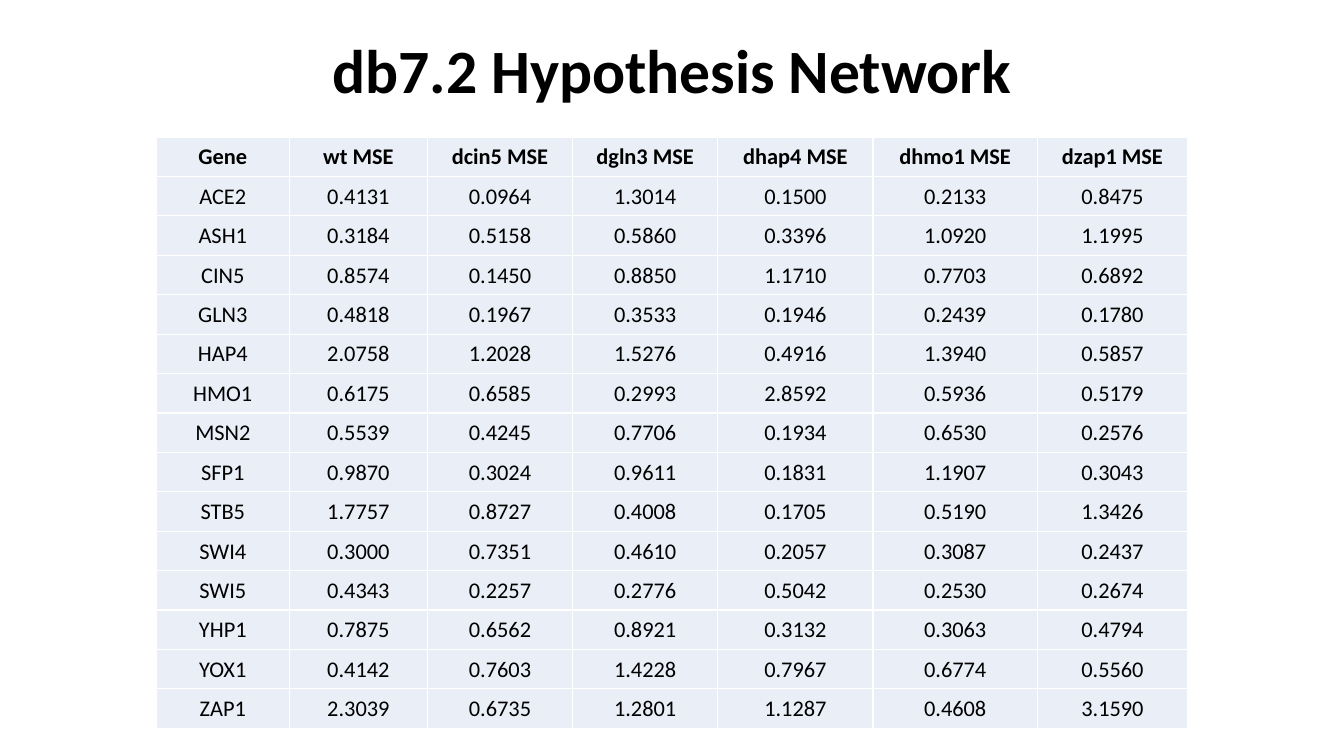
from lxml import etree
from pptx import Presentation
from pptx.dml.color import RGBColor
from pptx.enum.text import MSO_ANCHOR, PP_ALIGN
from pptx.oxml.ns import qn
from pptx.util import Inches, Pt

MIDDLE = MSO_ANCHOR.MIDDLE
CENTER = PP_ALIGN.CENTER

SLIDE_W, SLIDE_H = 13.33, 7.5
FONT = "Calibri"
COLORS = {"text": "000000", "cell": "EAEFF7", "border": "FFFFFF"}
BORDER_PT = 1

TABLE_LEFT, TABLE_TOP, TABLE_H = 1.55, 1.36, 5.87
COL_WIDTHS = [1.32, 1.37, 1.44, 1.44, 1.54, 1.63, 1.49]
CELL_FORMAT = {
    "margin_left": Inches(0.01),
    "margin_right": Inches(0.01),
    "margin_top": Inches(0.01),
    "margin_bottom": 0,
    "vertical_anchor": MIDDLE,
}

STRAINS = ["wt", "dcin5", "dgln3", "dhap4", "dhmo1", "dzap1"]
GENE_MSE = """
ACE2 0.4131 0.0964 1.3014 0.1500 0.2133 0.8475
ASH1 0.3184 0.5158 0.5860 0.3396 1.0920 1.1995
CIN5 0.8574 0.1450 0.8850 1.1710 0.7703 0.6892
GLN3 0.4818 0.1967 0.3533 0.1946 0.2439 0.1780
HAP4 2.0758 1.2028 1.5276 0.4916 1.3940 0.5857
HMO1 0.6175 0.6585 0.2993 2.8592 0.5936 0.5179
MSN2 0.5539 0.4245 0.7706 0.1934 0.6530 0.2576
SFP1 0.9870 0.3024 0.9611 0.1831 1.1907 0.3043
STB5 1.7757 0.8727 0.4008 0.1705 0.5190 1.3426
SWI4 0.3000 0.7351 0.4610 0.2057 0.3087 0.2437
SWI5 0.4343 0.2257 0.2776 0.5042 0.2530 0.2674
YHP1 0.7875 0.6562 0.8921 0.3132 0.3063 0.4794
YOX1 0.4142 0.7603 1.4228 0.7967 0.6774 0.5560
ZAP1 2.3039 0.6735 1.2801 1.1287 0.4608 3.1590
"""


def apply_format(obj, values):
    for name, value in values.items():
        setattr(obj, name, value)


def write_text(tf, text, size, bold):
    """Put one centred run into a text frame and return its paragraph."""
    p = tf.paragraphs[0]
    p.alignment = CENTER
    r = p.add_run()
    r.text = text
    apply_format(r.font, {"name": FONT, "size": Pt(size), "bold": bold})
    r.font.color.rgb = RGBColor.from_string(COLORS["text"])
    return p


def add_title(s, text):
    tf = s.shapes.add_textbox(Inches(0.92), 0, Inches(11.5), Inches(1.45)).text_frame
    apply_format(tf, {"word_wrap": True, "vertical_anchor": MIDDLE})
    write_text(tf, text, 44, True).line_spacing = 0.9


def add_borders(cell):
    tcPr = cell._tc.get_or_add_tcPr()
    for side in ("a:lnL", "a:lnR", "a:lnT", "a:lnB"):
        ln = etree.SubElement(tcPr, qn(side), w=str(Pt(BORDER_PT)))
        fill = etree.SubElement(ln, qn("a:solidFill"))
        etree.SubElement(fill, qn("a:srgbClr"), val=COLORS["border"])


def add_mse_table(s, rows):
    frame = s.shapes.add_table(
        len(rows), len(COL_WIDTHS), Inches(TABLE_LEFT), Inches(TABLE_TOP),
        Inches(sum(COL_WIDTHS)), Inches(TABLE_H))
    table = frame.table
    apply_format(table, {"first_row": False, "horz_banding": False})
    for column, width in zip(table.columns, COL_WIDTHS):
        column.width = Inches(width)
    for i, values in enumerate(rows):
        table.rows[i].height = Inches(TABLE_H / len(rows))
        for j, value in enumerate(values):
            cell = table.cell(i, j)
            apply_format(cell, CELL_FORMAT)
            add_borders(cell)
            cell.fill.solid()
            cell.fill.fore_color.rgb = RGBColor.from_string(COLORS["cell"])
            write_text(cell.text_frame, value, 16, i == 0)


def main():
    prs = Presentation()
    prs.slide_width, prs.slide_height = Inches(SLIDE_W), Inches(SLIDE_H)
    s = prs.slides.add_slide(prs.slide_layouts[6])
    add_title(s, "db7.2 Hypothesis Network")
    header = ["Gene"] + [f"{strain} MSE" for strain in STRAINS]
    add_mse_table(s, [header] + [line.split() for line in GENE_MSE.strip().splitlines()])
    prs.save("out.pptx")


if __name__ == "__main__":
    main()
